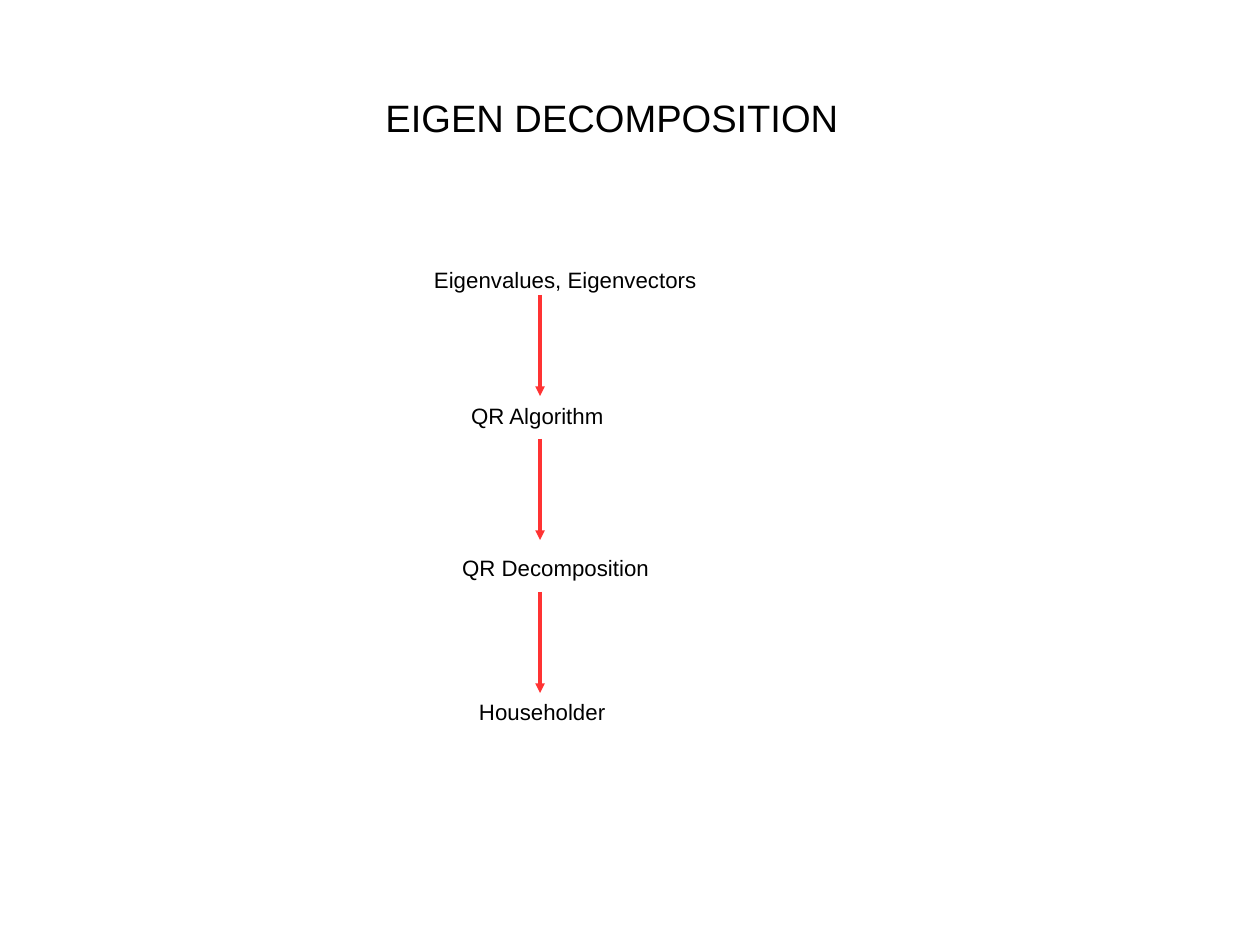
import pptx
import pptx.util
import pptx.dml.color
import pptx.enum.shapes
import pptx.enum.text
import pptx.oxml.ns
import lxml.etree

PX = 8000
BLACK = "000000"
ARROW_RED = "FF3333"
ALIGN = pptx.enum.text.PP_ALIGN
ANCHOR = pptx.enum.text.MSO_ANCHOR


def px(length):
    """Turn px into EMU."""
    return pptx.util.Emu(length * PX)


def color(hex_code):
    """Turn a hex string into a colour."""
    return pptx.dml.color.RGBColor.from_string(hex_code)


def add_text(slide, box, wording, size, align=ALIGN.LEFT, anchor=ANCHOR.TOP):
    """Place one line of text in a box without margins."""
    frame = slide.shapes.add_textbox(*map(px, box)).text_frame
    frame.word_wrap = True
    frame.vertical_anchor = anchor
    frame.margin_left = frame.margin_right = 0
    frame.margin_top = frame.margin_bottom = 0
    frame.paragraphs[0].alignment = align
    run = frame.paragraphs[0].add_run()
    run.text = wording
    run.font.name = "Arial"
    run.font.size = pptx.util.Pt(size)
    run.font.color.rgb = color(BLACK)


def add_arrow(slide, x, top, length):
    """Draw a hairline arrow pointing down."""
    arrow = slide.shapes.add_connector(
        pptx.enum.shapes.MSO_CONNECTOR.STRAIGHT,
        px(x), px(top), px(x), px(top + length))
    arrow.line.width = 0
    arrow.line.color.rgb = color(ARROW_RED)
    qn = pptx.oxml.ns.qn
    lxml.etree.SubElement(arrow.line._get_or_add_ln(), qn("a:tailEnd"), type="triangle")
    lxml.etree.SubElement(arrow._element.spPr, qn("a:effectLst"))


def add_title(slide, box):
    """Centre the slide title in its box."""
    add_text(slide, box, "EIGEN DECOMPOSITION", 24, ALIGN.CENTER, ANCHOR.MIDDLE)


def add_method_chain(slide, box):
    """Stack the methods in the box and link them with arrows."""
    left, top, width, height = box
    methods = [
        ("Eigenvalues, Eigenvectors", 0, 0),
        ("QR Algorithm", 37, 136),
        ("QR Decomposition", 28, 288),
        ("Householder", 45, 432),
    ]
    label_width, label_height = width - 45, height - 432
    for method, indent, drop in methods:
        add_text(slide, (left + indent, top + drop, label_width, label_height), method, 14)
    for drop in (29, 173, 326):
        add_arrow(slide, left + 106, top + drop, 101)


def main():
    """Build and save the slide."""
    deck = pptx.Presentation()
    deck.slide_width, deck.slide_height = px(1260), px(945)
    slide = deck.slides.add_slide(deck.slide_layouts[6])
    add_title(slide, (45, 38, 1134, 158))
    add_method_chain(slide, (434, 266, 319, 458))
    deck.save("out.pptx")


if __name__ == "__main__":
    main()
